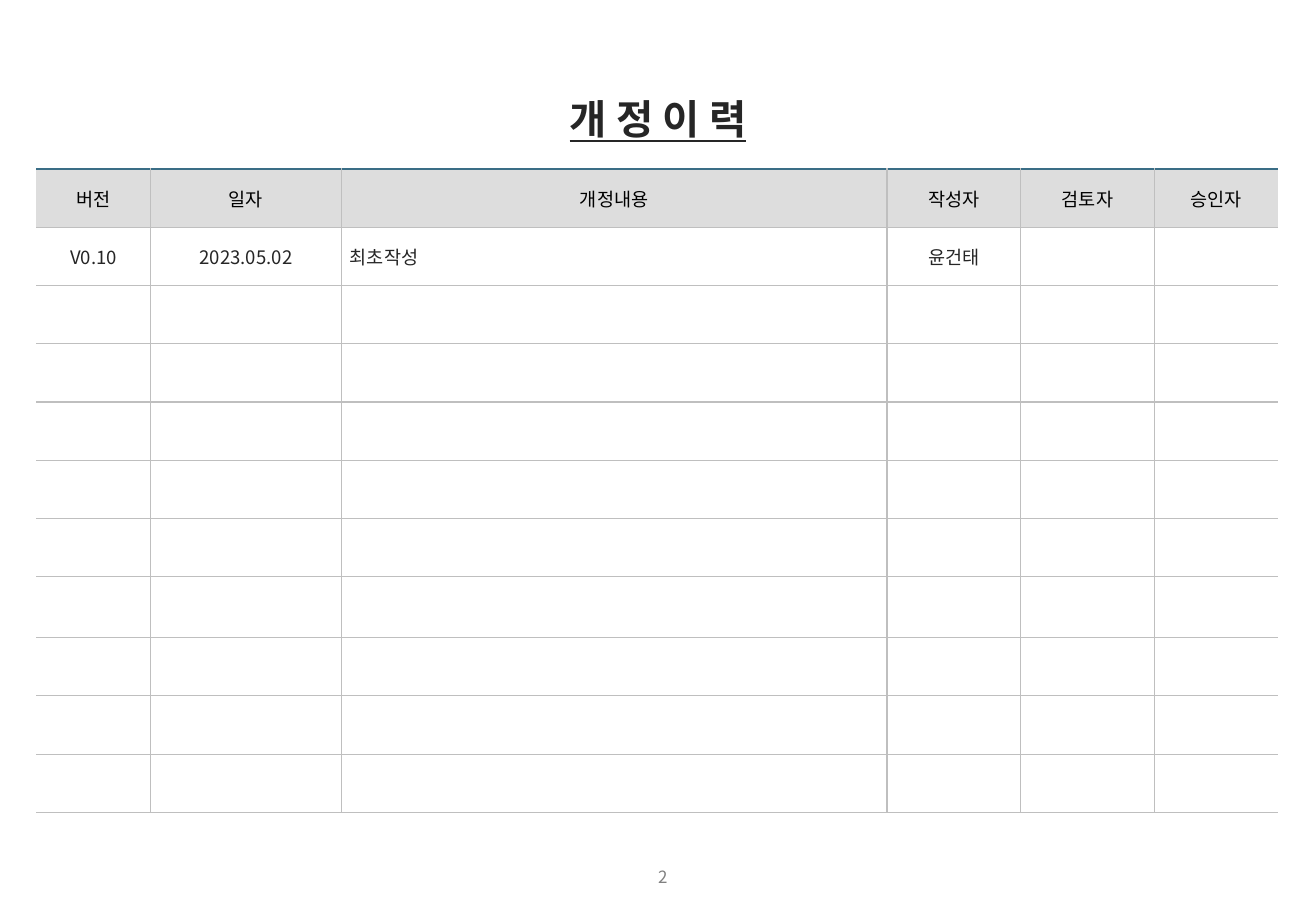
from lxml.etree import SubElement
from pptx import Presentation
from pptx.dml.color import RGBColor
from pptx.enum.text import MSO_ANCHOR, PP_ALIGN
from pptx.oxml.ns import qn
from pptx.util import Inches, Pt

FONT = "Noto Sans CJK KR"
HEX = {"head": "DDDDDD", "body": "FFFFFF", "rule": "BFBFBF", "top": "3A6D86",
       "black": "000000", "ink": "262626", "page": "808080"}
COLS = [0.94, 1.57, 4.49, 1.1, 1.1, 1.02]
ROWS = [0.48] * 7 + [0.5] + [0.48] * 3
DATA = [["버전", "일자", "개정내용", "작성자", "검토자", "승인자"],
        ["V0.10", "2023.05.02", "최초작성", "윤건태", "", ""]]


class Page:
    def __init__(self, deck, wide, high):
        deck.slide_width, deck.slide_height = Inches(wide), Inches(high)
        self.wide, self.high = deck.slide_width, deck.slide_height
        self.slide = deck.slides.add_slide(deck.slide_layouts[5])

    def area(self, x, y, w, h):
        """Turn shares of the slide's size into lengths."""
        return (int(x * self.wide), int(y * self.high),
                int(w * self.wide), int(h * self.high))

    def style(self, frame, text, size, color, align=PP_ALIGN.CENTER, bold=None):
        """Put one formatted paragraph in a text frame."""
        frame.word_wrap = True
        frame.vertical_anchor = MSO_ANCHOR.MIDDLE
        para = frame.paragraphs[0]
        para.text = text
        para.alignment = align
        font = para.font
        font.name, font.size = FONT, Pt(size)
        font.bold = font.underline = bold
        font.color.rgb = RGBColor.from_string(HEX[color])
        SubElement(para._p.pPr.find(qn("a:defRPr")), qn("a:ea"), typeface=FONT)
        return para

    def title(self, text, *share):
        shape = self.slide.shapes.title
        shape.left, shape.top, shape.width, shape.height = self.area(*share)
        frame = shape.text_frame
        frame.margin_left = frame.margin_right = 0
        frame.margin_top = frame.margin_bottom = 0
        para = self.style(frame, text, 24, "ink", bold=True)
        para.line_spacing = 1.5
        para.space_before = Pt(0)

    def label(self, text, *share):
        box = self.slide.shapes.add_textbox(*self.area(*share))
        self.style(box.text_frame, text, 10, "page")

    def edge(self, cell, side, color, width=0.75):
        """Draw one cell border, or clear it when color is None."""
        line = SubElement(cell._tc.get_or_add_tcPr(), qn("a:ln" + side),
                          w=str(Pt(width)))
        if color:
            fill = SubElement(line, qn("a:solidFill"))
            SubElement(fill, qn("a:srgbClr"), val=HEX[color])
        else:
            SubElement(line, qn("a:noFill"))

    def table(self, data, cols, rows, *share):
        grid = self.slide.shapes.add_table(
            len(rows), len(cols), *self.area(*share)).table
        grid.first_row = grid.horz_banding = False
        for col, size in zip(grid.columns, cols):
            col.width = Inches(size)
        for row, size in zip(grid.rows, rows):
            row.height = Inches(size)
        for r in range(len(rows)):
            for c in range(len(cols)):
                text = data[r][c] if r < len(data) else ""
                self.cell(grid.cell(r, c), text, r == 0, c, len(cols) - 1)

    def cell(self, cell, text, head, c, last):
        self.edge(cell, "L", "rule" if c > 0 else None)
        self.edge(cell, "R", "rule" if c < last else None)
        self.edge(cell, "T", "top" if head else "rule", 1 if head else 0.75)
        self.edge(cell, "B", "rule")
        cell.fill.solid()
        cell.fill.fore_color.rgb = RGBColor.from_string(
            HEX["head" if head else "body"])
        cell.margin_left = cell.margin_right = Inches(0.05 if head else 0.07)
        cell.margin_top = cell.margin_bottom = Inches(0.05 if head else 0.02)
        cell.vertical_anchor = MSO_ANCHOR.MIDDLE
        left = c == 2 and not head
        self.style(cell.text_frame, text, 11, "black" if head else "ink",
                   PP_ALIGN.LEFT if left else PP_ALIGN.CENTER)


def main():
    deck = Presentation()
    wide, high = 10.83, 7.5
    page = Page(deck, wide, high)
    page.label("2", 4.19 / wide, 7.03 / high, 2.53 / wide, 0.37 / high)
    page.table(DATA, COLS, ROWS, 0.3 / wide, 1.39 / high,
               sum(COLS) / wide, sum(ROWS) / high)
    page.title("개 정 이 력", 0, 0.08, 1, 0.55 / high)
    deck.save("out.pptx")


if __name__ == "__main__":
    main()
